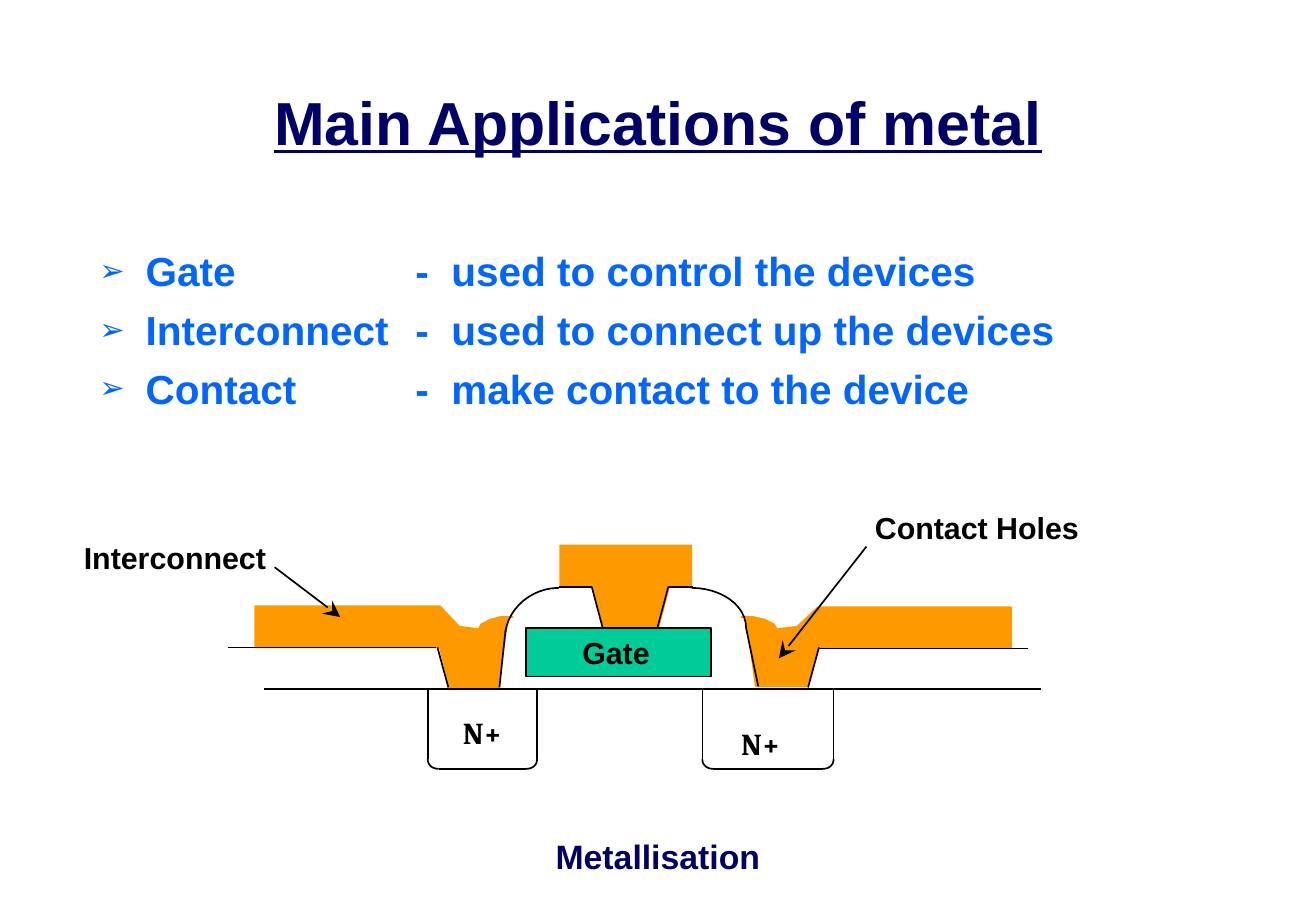
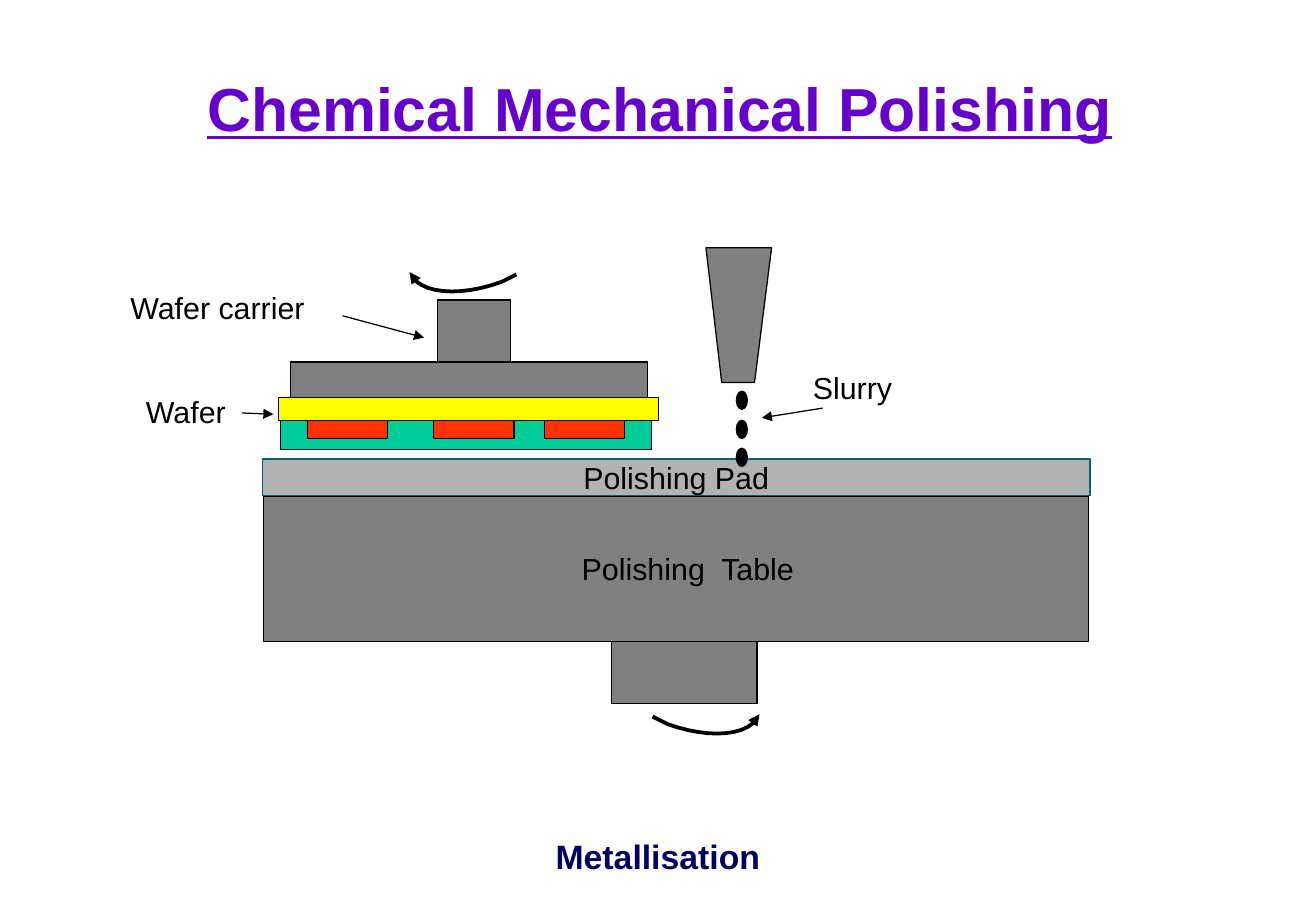
import pptx
import pptx.dml.color
import pptx.enum.shapes
import pptx.enum.text
import pptx.oxml
import pptx.oxml.ns
import pptx.util

Inches = pptx.util.Inches
Pt = pptx.util.Pt
Color = pptx.dml.color.RGBColor
Kind = pptx.enum.shapes.MSO_SHAPE
Align = pptx.enum.text.PP_ALIGN
Anchor = pptx.enum.text.MSO_ANCHOR

NAVY = Color(0x00, 0x00, 0x66)
BLUE = Color(0x00, 0x66, 0xFF)
PURPLE = Color(0x66, 0x00, 0xCC)
ORANGE = Color(0xFF, 0x99, 0x00)
GREEN = Color(0x00, 0xCC, 0x99)
TEAL = Color(0x00, 0x66, 0x66)
GREY = Color(0x80, 0x80, 0x80)
SILVER = Color(0xB2, 0xB2, 0xB2)
YELLOW = Color(0xFF, 0xFF, 0x00)
RED = Color(0xFF, 0x33, 0x00)
BLACK = Color(0x00, 0x00, 0x00)
NAMESPACE = pptx.oxml.ns.nsdecls("a")


def draw_line(shape, color, width, end=None, arrow=None):
    shape.line.color.rgb = color
    shape.line.width = Pt(width)
    if end:
        size = "lg" if arrow == "stealth" else "med"
        shape.line._get_or_add_ln().append(pptx.oxml.parse_xml(
            f'<a:{end} {NAMESPACE} type="{arrow}" w="{size}" len="{size}"/>'))


def write(paragraph, text, size, color=BLACK, bold=False, font="Arial", underline=None):
    span = paragraph.add_run()
    span.text = text
    span.font.name = font
    span.font.size = Pt(size)
    span.font.bold = bold
    span.font.underline = underline
    span.font.color.rgb = color


deck = pptx.Presentation()
deck.slide_width = Inches(10.83)
deck.slide_height = Inches(7.5)
metal, polishing = [deck.slides.add_slide(deck.slide_layouts[6]) for _ in range(2)]

left_interconnect = [
    (4.18, 5.08), (4.22, 5.08), (4.12, 5.08), (4.04, 5.1), (3.96, 5.14), (3.94, 5.18),
    (3.78, 5.16), (3.62, 4.99), (2.1, 4.99), (2.1, 5.33), (3.62, 5.33), (3.7, 5.66),
    (4.1, 5.66), (4.18, 5.08)]
right_interconnect = [
    (6.14, 5.08), (6.1, 5.08), (6.2, 5.08), (6.29, 5.1), (6.37, 5.14), (6.39, 5.18),
    (6.56, 5.16), (6.73, 5), (8.32, 5), (8.32, 5.33), (6.73, 5.33), (6.64, 5.65),
    (6.22, 5.65), (6.14, 5.08)]
gate_metal = [
    (4.61, 4.49), (4.61, 4.82), (4.88, 4.82), (4.97, 5.16), (5.42, 5.16),
    (5.51, 4.82), (5.69, 4.82), (5.69, 4.49), (4.61, 4.49)]
outlines = [(metal, steps, ORANGE, ORANGE, 1, None)
            for steps in (left_interconnect, right_interconnect, gate_metal)]

curves = [
    [(4.16, 5.2), (4.19, 5, 4.38, 4.84, 4.6, 4.84)],
    [(5.69, 4.84), (5.93, 4.84, 6.14, 4.98, 6.14, 5.17)]]
wells = ((3.52, 4.42), (5.78, 6.86))
for left, right in wells:
    curves.append([(left + 0.09, 6.33), (left + 0.04, 6.33, left, 6.3, left, 6.25)])
    curves.append([(right, 6.25), (right, 6.3, right - 0.04, 6.33, right - 0.09, 6.33)])
outlines += [(metal, steps, None, BLACK, 1, None) for steps in curves]

nozzle = [(5.81, 2.04), (5.94, 3.15), (6.21, 3.15), (6.35, 2.04), (5.81, 2.04)]
outlines.append((polishing, nozzle, GREY, BLACK, 0.75, None))
for start, way, top in ((3.37, 1, 2.24), (6.25, -1, 5.88)):
    rotation = [
        (start, top),
        (start + way * 0.07, top + 0.18, start + way * 0.41, top + 0.21,
         start + way * 0.76, top + 0.08),
        (start + way * 0.88, top + 0.02)]
    outlines.append((polishing, rotation, None, BLACK, 2.25, "headEnd"))

for page, steps, fill, color, width, end in outlines:
    points = [steps[0]]
    for step in steps[1:]:
        if len(step) == 2:
            points.append(step)
            continue
        controls = [points[-1], step[:2], step[2:4], step[4:]]
        for part in range(1, 13):
            t = part / 12
            weights = ((1 - t) ** 3, 3 * t * (1 - t) ** 2, 3 * t * t * (1 - t), t ** 3)
            points.append(tuple(
                sum(weight * control[axis] for weight, control in zip(weights, controls))
                for axis in (0, 1)))
    corners = [(Inches(x), Inches(y)) for x, y in points]
    builder = page.shapes.build_freeform(*corners[0], scale=1.0)
    builder.add_line_segments(corners[1:], close=points[0] == points[-1])
    outline = builder.convert_to_shape()
    outline.shadow.inherit = False
    if fill is None:
        outline.fill.background()
    else:
        outline.fill.solid()
        outline.fill.fore_color.rgb = fill
    draw_line(outline, color, width, end, "triangle")

blocks = [
    (metal, Kind.RECTANGLE, 4.33, 5.17, 1.52, 0.4, GREEN, BLACK, 1, "", False),
    (polishing, Kind.RECTANGLE, 2.31, 3.46, 3.05, 0.24, GREEN, BLACK, 0.75, "", False),
    (polishing, Kind.RECTANGLE, 2.17, 4.09, 6.79, 1.19, GREY, BLACK, 0.75, "", False),
    (polishing, Kind.RECTANGLE, 2.16, 3.78, 6.81, 0.3, SILVER, TEAL, 0.75, "Polishing Pad", False),
    (polishing, Kind.RECTANGLE, 2.39, 2.98, 2.94, 0.34, GREY, BLACK, 0.75, "", False),
    (polishing, Kind.RECTANGLE, 3.6, 2.47, 0.6, 0.51, GREY, BLACK, 0.75, "", False),
    (polishing, Kind.RECTANGLE, 2.29, 3.27, 3.13, 0.19, YELLOW, BLACK, 0.75, "", False),
    (polishing, Kind.RECTANGLE, 5.03, 5.28, 1.2, 0.51, GREY, BLACK, 0.75, "", False)]
blocks += [(polishing, Kind.RECTANGLE, left, 3.46, 0.66, 0.15, RED, BLACK, 0.75, "", False)
           for left in (2.53, 3.57, 4.48)]
blocks += [(polishing, Kind.OVAL, 6.06, top, 0.09, 0.15, BLACK, BLACK, 0.75, "", False)
           for top in (3.22, 3.46, 3.69)]
for page, kind, left, top, width, height, fill, color, weight, text, bold in blocks:
    block = page.shapes.add_shape(kind, Inches(left), Inches(top), Inches(width), Inches(height))
    block.shadow.inherit = False
    block.fill.solid()
    block.fill.fore_color.rgb = fill
    draw_line(block, color, weight)
    if text:
        block.text_frame.word_wrap = False
        block.text_frame.vertical_anchor = Anchor.MIDDLE
        block.text_frame.paragraphs[0].alignment = Align.CENTER
        write(block.text_frame.paragraphs[0], text, 18, BLACK, bold)

surfaces = [
    (2.17, 5.67, 8.57, 5.67),
    (3.59, 5.33, 1.88, 5.33), (3.69, 5.66, 3.6, 5.33),
    (4.11, 5.66, 4.16, 5.19), (4.87, 4.83, 4.6, 4.83), (4.87, 4.83, 4.96, 5.17),
    (5.41, 5.17, 5.5, 4.83), (5.5, 4.83, 5.7, 4.83), (6.14, 5.17, 6.24, 5.65),
    (6.65, 5.66, 6.74, 5.33), (6.74, 5.34, 8.46, 5.34)]
for left, right in wells:
    surfaces += [(left, 5.67, left, 6.25), (right, 5.67, right, 6.25),
                 (left + 0.09, 6.33, right - 0.09, 6.33)]
connectors = [(metal, *ends, 1, None) for ends in surfaces]
connectors += [
    (metal, 7.13, 4.5, 6.41, 5.42, 1, "stealth"),
    (metal, 2.26, 4.67, 2.8, 5.08, 1, "stealth"),
    (polishing, 1.99, 3.4, 2.25, 3.41, 0.75, "triangle"),
    (polishing, 2.82, 2.6, 3.49, 2.78, 0.75, "triangle"),
    (polishing, 6.77, 3.36, 6.27, 3.44, 0.75, "triangle")]
for page, x1, y1, x2, y2, width, arrow in connectors:
    connector = page.shapes.add_connector(
        pptx.enum.shapes.MSO_CONNECTOR.STRAIGHT, Inches(x1), Inches(y1), Inches(x2), Inches(y2))
    draw_line(connector, BLACK, width, "tailEnd" if arrow else None, arrow)
    connector._element.spPr.append(pptx.oxml.parse_xml(f"<a:effectLst {NAMESPACE}/>"))

labels = [
    (metal, 0.45, 0.37, 9.93, 1.25, "Main Applications of metal", 36, NAVY, True, "Arial", True),
    (polishing, 1.41, 0.53, 8.04, 0.7, "Chemical Mechanical Polishing", 36, PURPLE, True, "Arial", True),
    (metal, 7.1, 4.14, 1.88, 0.4, "Contact Holes", 18, BLACK, True, "Arial", None),
    (metal, 0.59, 4.39, 1.7, 0.4, "Interconnect", 18, BLACK, True, "Arial", None),
    (metal, 4.69, 5.17, 0.76, 0.4, "Gate", 18, BLACK, True, "Arial", None),
    (metal, 3.7, 5.83, 0.54, 0.4, "N+", 18, BLACK, True, "Cambria", None),
    (metal, 5.99, 5.92, 0.54, 0.4, "N+", 18, BLACK, True, "Cambria", None),
    (polishing, 6.59, 2.99, 0.85, 0.4, "Slurry", 18, BLACK, False, "Arial", None),
    (polishing, 0.97, 2.33, 1.64, 0.4, "Wafer carrier", 18, BLACK, False, "Arial", None),
    (polishing, 1.1, 3.19, 0.86, 0.4, "Wafer", 18, BLACK, False, "Arial", None),
    (polishing, 4.67, 4.48, 1.98, 0.4, "Polishing  Table", 18, BLACK, False, "Arial", None)]
labels += [(page, 3.7, 6.83, 3.43, 0.5, "Metallisation", 20, NAVY, True, "Arial", None)
           for page in (metal, polishing)]
for page, left, top, width, height, text, size, color, bold, font, underline in labels:
    box = page.shapes.add_textbox(Inches(left), Inches(top), Inches(width), Inches(height))
    box.text_frame.word_wrap = False
    box.text_frame.vertical_anchor = Anchor.MIDDLE if underline else Anchor.TOP
    box.text_frame.paragraphs[0].alignment = Align.CENTER
    write(box.text_frame.paragraphs[0], text, size, color, bold, font, underline)

applications = [
    ("Gate", "used to control the devices"),
    ("Interconnect", "used to connect up the devices"),
    ("Contact", "make contact to the device")]
box = metal.shapes.add_textbox(Inches(0.72), Inches(1.98), Inches(9.21), Inches(1.58))
box.text_frame.word_wrap = True
for index, (part, purpose) in enumerate(applications):
    para = box.text_frame.paragraphs[0] if index == 0 else box.text_frame.add_paragraph()
    properties = para._p.get_or_add_pPr()
    properties.set("marL", str(Inches(0.38)))
    properties.set("indent", str(-Inches(0.38)))
    for markup in (
            f'<a:buClr {NAMESPACE}><a:srgbClr val="{BLUE}"/></a:buClr>',
            f'<a:buSzPct {NAMESPACE} val="75000"/>',
            f'<a:buFont {NAMESPACE} typeface="Arial"/>',
            f'<a:buChar {NAMESPACE} char="➢"/>',
            f'<a:tabLst {NAMESPACE}><a:tab pos="{Inches(2.6)}" algn="l"/></a:tabLst>'):
        properties.append(pptx.oxml.parse_xml(markup))
    if index:
        para.space_before = Pt(6)
    write(para, f"{part}\t-  {purpose}", 24, BLUE, True)

deck.save("out.pptx")
